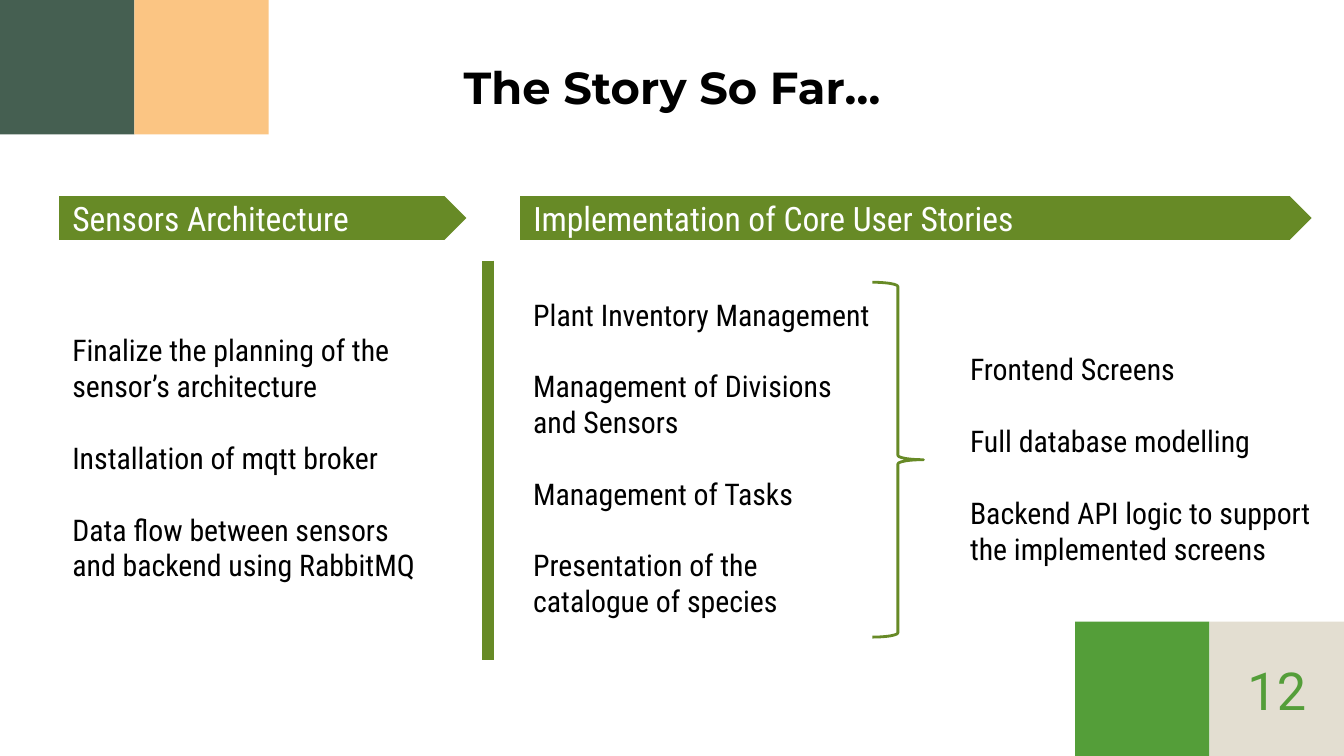
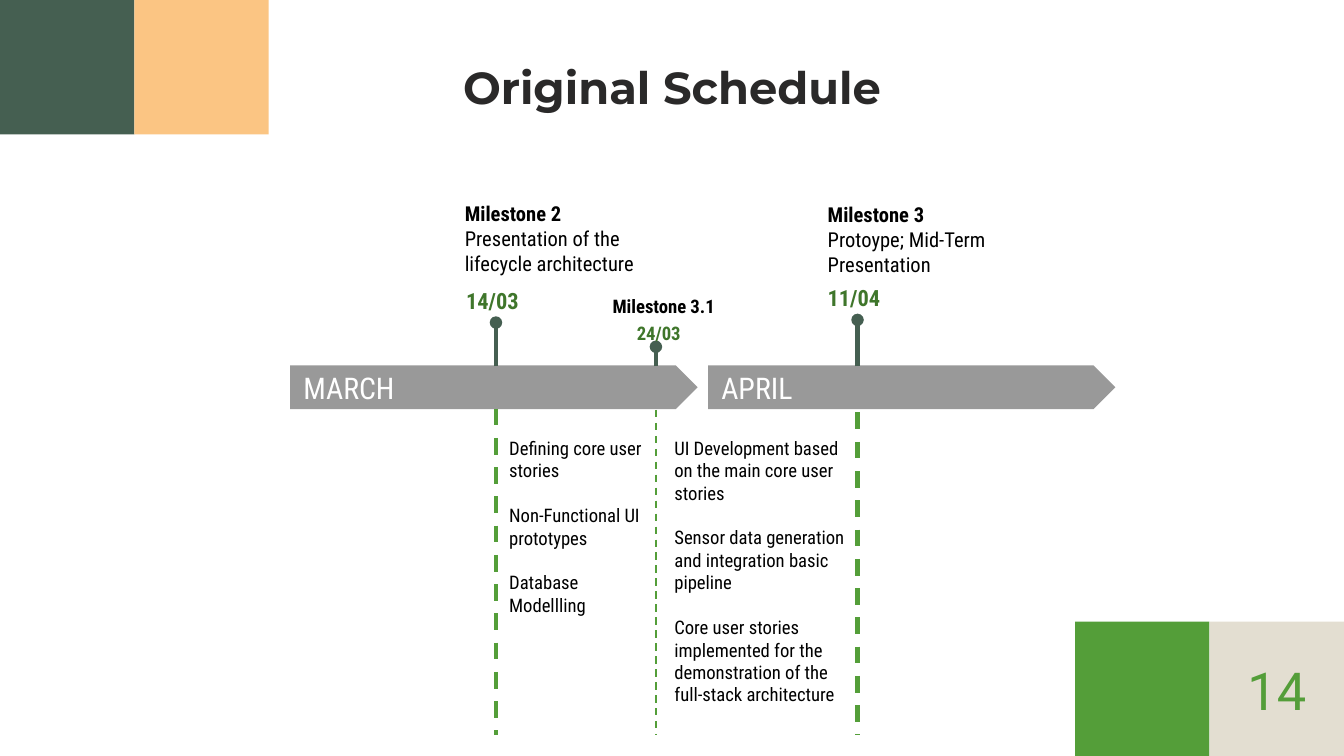
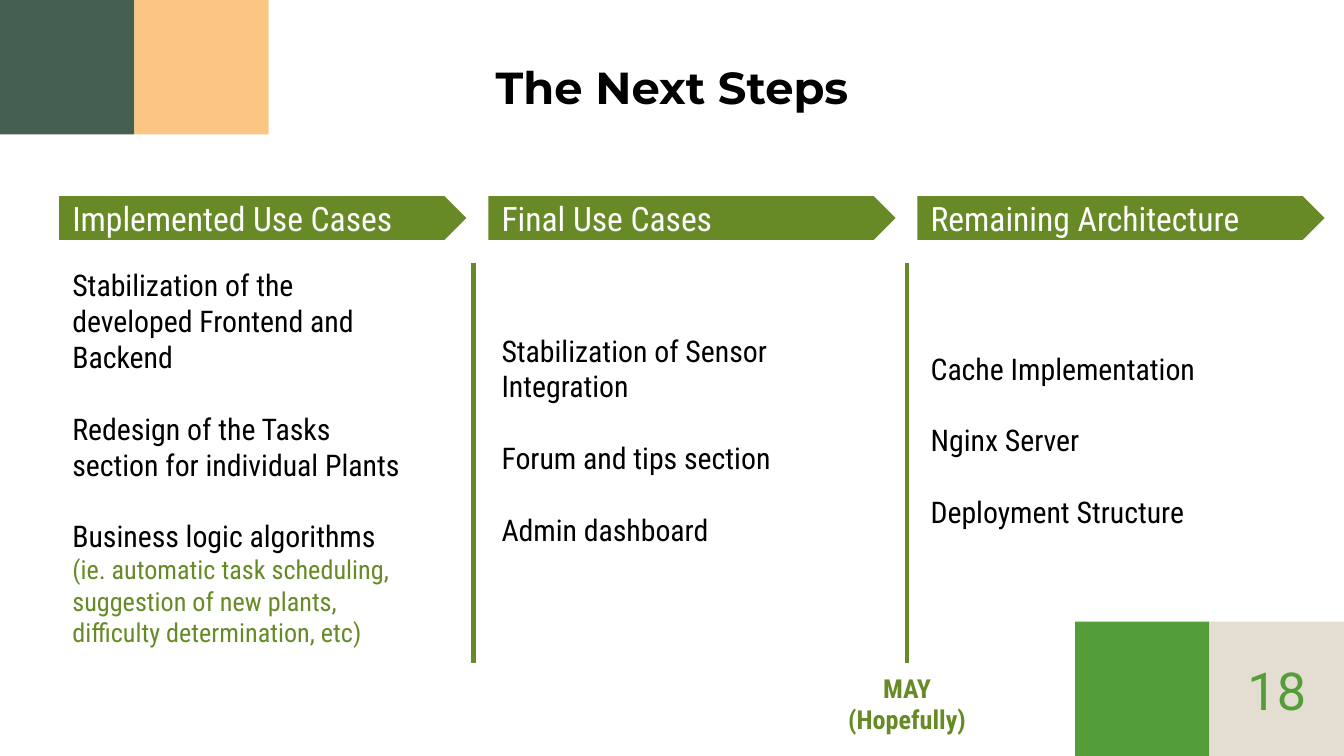
from lxml import etree
from pptx import Presentation
from pptx.dml.color import RGBColor
from pptx.enum import dml, shapes, text
from pptx.oxml.ns import qn
from pptx.util import Pt

COLORS = {
    "forest": "455F51", "peach": "FBC583", "green": "549E39", "sand": "E3DED1",
    "olive": "678A26", "date": "3F762B", "gray": "999999",
    "black": "000000", "charcoal": "2A2929", "white": "FFFFFF",
}
BODY, TITLE, NUMBER = "Roboto Condensed", "Montserrat", "Roboto"
LINE = 1.2  # line height as a share of the font size
SQUARE = 72
WIDTH, HEIGHT = 720, 405
MARGIN = 7.2
COLUMN_WIDTH = 199.4
ARROW_WIDTH, ARROW_HEIGHT = 218.2, 23.4


def rgb(name):
    return RGBColor.from_string(COLORS[name])


class Deck:
    def __init__(self):
        self.prs = Presentation()
        self.prs.slide_width, self.prs.slide_height = Pt(WIDTH), Pt(HEIGHT)
        self.slide = None

    def new_slide(self, title, number, title_color="black"):
        self.slide = self.prs.slides.add_slide(self.prs.slide_layouts[6])
        bottom = HEIGHT - SQUARE
        for x, y, color in ((0, 0, "forest"), (SQUARE, 0, "peach"),
                            (WIDTH - 2 * SQUARE, bottom, "green"),
                            (WIDTH - SQUARE, bottom, "sand")):
            self.shape(shapes.MSO_SHAPE.RECTANGLE, x, y, SQUARE, SQUARE, color)
        self.text(176.4, 24, 367.2, 45, [title], 24, title_color, TITLE,
                  bold=True, center=True)
        self.text(WIDTH - SQUARE, 349.2, SQUARE, 41, [str(number)], 28, "green",
                  NUMBER, center=True)

    def shape(self, kind, x, y, w, h, fill=None, line=None):
        sp = self.slide.shapes.add_shape(kind, Pt(x), Pt(y), Pt(w), Pt(h))
        sp.shadow.inherit = False
        if fill:
            sp.fill.solid()
            sp.fill.fore_color.rgb = rgb(fill)
        else:
            sp.fill.background()
        if line:
            sp.line.color.rgb = rgb(line)
            sp.line.width = Pt(1.5)
        else:
            sp.line.fill.background()
        return sp

    def set_text(self, sp, paragraphs, size, color, font=BODY, bold=False,
                 center=False, gap=0):
        """Fill a shape; a paragraph is a string or (string, style changes)."""
        tf = sp.text_frame
        tf.word_wrap = True
        tf.vertical_anchor = text.MSO_ANCHOR.MIDDLE
        tf.margin_left = tf.margin_right = Pt(MARGIN)
        tf.margin_top = tf.margin_bottom = 0
        base = dict(size=size, color=color, bold=bold, gap=gap)
        for i, item in enumerate(paragraphs):
            words, changes = (item, {}) if isinstance(item, str) else item
            style = {**base, **changes}
            p = tf.add_paragraph() if i else tf.paragraphs[0]
            p.alignment = text.PP_ALIGN.CENTER if center else text.PP_ALIGN.LEFT
            if i and style["gap"]:
                p.space_before = Pt(style["gap"])
            r = p.add_run()
            r.text = words
            r.font.name = font
            r.font.size = Pt(style["size"])
            r.font.bold = style["bold"]
            r.font.color.rgb = rgb(style["color"])

    def text(self, x, y, w, h, paragraphs, size, color="black", font=BODY, **style):
        sp = self.slide.shapes.add_textbox(Pt(x), Pt(y), Pt(w), Pt(h))
        self.set_text(sp, paragraphs, size, color, font, **style)

    def items(self, x, y, w, h, paragraphs, size=16):
        """Text with one empty line's height between paragraphs."""
        self.text(x, y, w, h, paragraphs, size, gap=size * LINE)

    def arrow(self, x, y, label, w=ARROW_WIDTH, color="olive", size=18):
        sp = self.shape(shapes.MSO_SHAPE.PENTAGON, x, y, w, ARROW_HEIGHT, color)
        self.set_text(sp, [label], size, "white")

    def line(self, x, y1, y2, color, width=2.25, dashed=False, dot=False):
        c = self.slide.shapes.add_connector(
            shapes.MSO_CONNECTOR.STRAIGHT, Pt(x), Pt(y1), Pt(x), Pt(y2))
        c.line.color.rgb = rgb(color)
        c.line.width = Pt(width)
        props = c._element.spPr
        if dashed:
            c.line.dash_style = dml.MSO_LINE.DASH
        if dot:
            etree.SubElement(props.find(qn("a:ln")), qn("a:tailEnd"), type="oval")
        etree.SubElement(props, qn("a:effectLst"))

    def label(self, x, middle, w, words, size, color):
        """One bold line centred on a height."""
        self.text(x, middle - 9, w, 18, [words], size, color, bold=True)


HEADER_TOP, COLUMN_TOP = 105.1, 141.1


def story_slide(deck):
    deck.new_slide("The Story So Far…", 12)
    left, middle, right = 31.7, 278.6, 512.6
    deck.arrow(left, HEADER_TOP, "Sensors Architecture")
    deck.arrow(middle, HEADER_TOP, "Implementation of Core User Stories", 424.1)
    deck.items(left, COLUMN_TOP, COLUMN_WIDTH, 208, [
        "Finalize the planning of the sensor’s architecture",
        "Installation of mqtt broker",
        "Data flow between sensors and backend using RabbitMQ"])
    deck.items(middle, COLUMN_TOP, COLUMN_WIDTH, 208, [
        "Plant Inventory Management",
        "Management of Divisions and Sensors",
        "Management of Tasks",
        "Presentation of the catalogue of species"])
    deck.items(right, 151.2, COLUMN_WIDTH, 189, [
        "Frontend Screens",
        "Full database modelling",
        "Backend API logic to support the implemented screens"])
    brace = deck.shape(shapes.MSO_SHAPE.LEFT_BRACE, 467.3, 151.2, 27.4, 190.1,
                       line="olive")
    brace.rotation = 180
    deck.line(261.4, 139.7, 353.5, "olive", 6)


def schedule_slide(deck):
    deck.new_slide("Original Schedule", 14, "charcoal")
    bar_top, end = 195.8, 393.8
    for x, month in ((155.5, "MARCH"), (379.4, "APRIL")):
        deck.arrow(x, bar_top, month, color="gray", size=16)

    for x, pin_top, dash_top, dash_width in ((265.7, 172.8, 218.9, 2.25),
                                             (459.4, 171.4, 221, 2.25),
                                             (351.4, 185.8, 219.6, 1)):
        deck.line(x, bar_top + 0.5, pin_top, "forest", dot=True)
        deck.line(x, dash_top, end, "green", dash_width, dashed=True)

    plain = {"bold": False}
    deck.text(241.9, 93.6, 109.4, 68, [
        "Milestone 2", ("Presentation of the lifecycle architecture", plain)],
        11, bold=True)
    deck.text(436.3, 92.2, 144.7, 72, [
        "Milestone 3", ("Protoype; Mid-Term Presentation", plain)],
        11, bold=True)
    deck.label(242.6, 161, 46.1, "14/03", 12, "date")
    deck.label(436.3, 159.2, 46.1, "11/04", 12, "date")
    deck.label(321.1, 163.9, 71.3, "Milestone 3.1", 10, "black")
    deck.label(334.1, 178.4, 38.9, "24/03", 10, "date")

    deck.items(265.7, 234, 109.4, 96, [
        "Defining core user stories",
        "Non-Functional UI prototypes",
        "Database",
        ("Modellling", {"gap": 0})], 10)
    deck.items(354.2, 234, 109.4, 144, [
        "UI Development based on the main core user stories",
        "Sensor data generation and integration basic pipeline",
        "Core user stories implemented for the demonstration of the "
        "full-stack architecture"], 10)


def next_steps_slide(deck):
    deck.new_slide("The Next Steps", 18)
    note = {"size": 14, "color": "olive", "gap": 0}
    columns = (
        ("Implemented Use Cases", 208, [
            "Stabilization of the developed Frontend and Backend",
            "Redesign of the Tasks section for individual Plants",
            "Business logic algorithms",
            ("(ie. automatic task scheduling, suggestion of new plants, "
             "difficulty determination, etc)", note)]),
        ("Final Use Cases", 189, [
            "Stabilization of Sensor Integration",
            "Forum and tips section",
            "Admin dashboard"]),
        ("Remaining Architecture", 189, [
            "Cache Implementation", "Nginx Server", "Deployment Structure"]),
    )
    for i, (header, height, entries) in enumerate(columns):
        x = 31.7 + i * 229.9
        deck.arrow(x, HEADER_TOP, header)
        deck.items(x, COLUMN_TOP, COLUMN_WIDTH, height, entries)
    for x in (253.7, 486):
        deck.line(x, COLUMN_TOP, 355, "olive")
    deck.text(442.8, 360, 86.4, 34, ["MAY", "(Hopefully)"], 14, "olive",
              bold=True, center=True)


def main():
    deck = Deck()
    story_slide(deck)
    schedule_slide(deck)
    next_steps_slide(deck)
    deck.prs.save("out.pptx")


if __name__ == "__main__":
    main()
